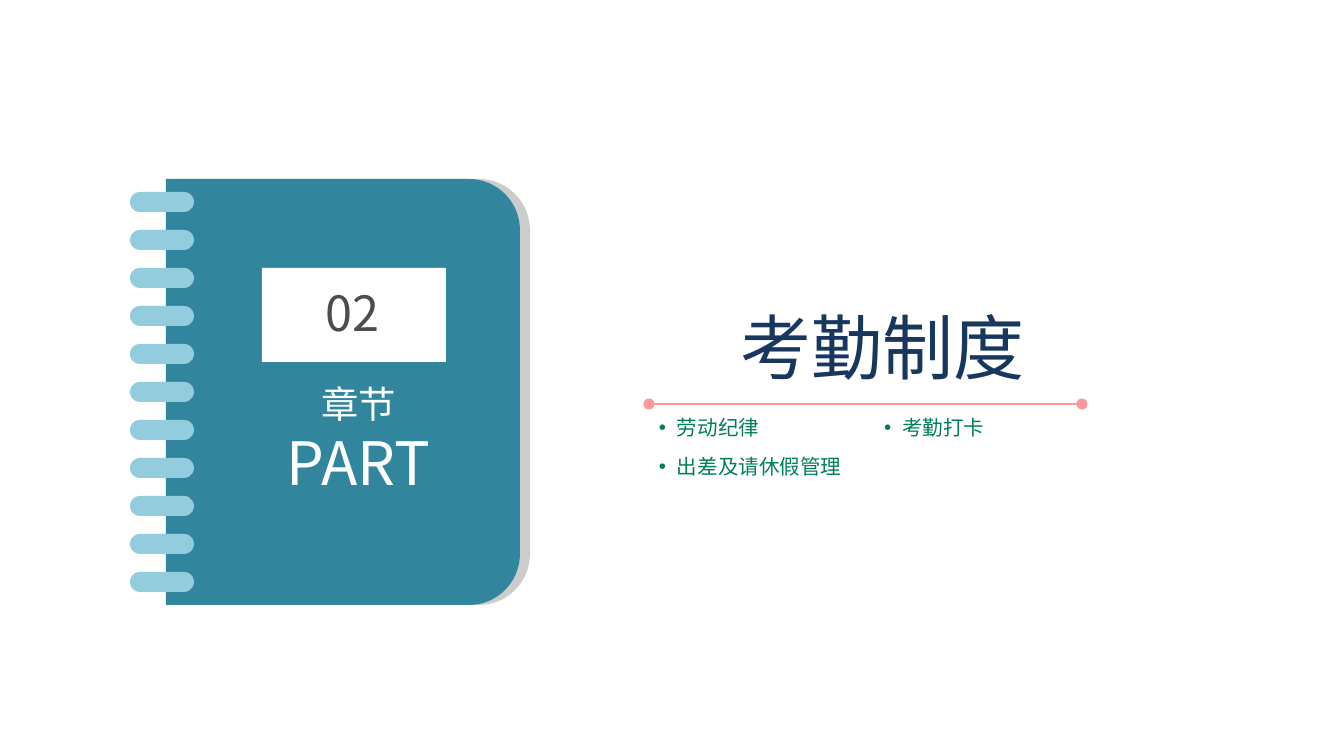
"""Build the chapter divider slide: a spiral notebook beside a title and its topics."""
import math
from dataclasses import dataclass

from lxml import etree
from pptx import Presentation
from pptx import util as u
from pptx.dml.color import RGBColor
from pptx.enum import shapes, text
from pptx.oxml import ns

PX = u.Inches(10) / 1344
CJK_FONT = "Noto Sans CJK SC"
COLORS = {
    "title": "17375E", "topic": "007E5D", "rule": "FF9999",
    "cover": "31859C", "back": "CCCCCC", "ring": "93CDDD",
    "white": "FFFFFF", "number": "4D4D4D",
}


@dataclass(frozen=True)
class Area:
    left: int
    top: int
    width: int
    height: int


@dataclass(frozen=True)
class Line:
    words: str
    size: int
    color: str
    font: str = CJK_FONT


@dataclass(frozen=True)
class TextBlock:
    area: Area
    lines: tuple[Line, ...]
    bullet: bool = False


COVERS = ((Area(176, 179, 354, 426), "back"), (Area(166, 179, 354, 426), "cover"))
CORNER = 51
LABEL = Area(262, 268, 184, 94)
FIRST_RING = Area(130, 192, 64, 20)
RING_COUNT, RING_STEP = 11, 38
TOPICS = (
    (Area(649, 413, 121, 35), "劳动纪律"),
    (Area(874, 413, 121, 35), "考勤打卡"),
    (Area(649, 452, 203, 35), "出差及请休假管理"),
)
TITLE = TextBlock(Area(649, 313, 468, 87), (Line("考勤制度", 38, "title", "Arial"),))
NOTEBOOK_TEXT = (
    TextBlock(Area(266, 290, 173, 59), (Line("02", 26, "number"),)),
    TextBlock(Area(276, 386, 165, 132),
              (Line("章节", 20, "white"), Line("PART", 32, "white"))),
)


def emu(px: float) -> int:
    """Turn px into EMU."""
    return round(px * PX)


def place(area: Area) -> tuple[int, ...]:
    """Give the area's left, top, width and height in EMU."""
    return tuple(emu(n) for n in (area.left, area.top, area.width, area.height))


def color(name: str) -> RGBColor:
    """Look up a named colour."""
    return RGBColor.from_string(COLORS[name])


def set_all(target, values: dict) -> None:
    """Set each named attribute on the target."""
    for name, value in values.items():
        setattr(target, name, value)


def paint(shape, name: str) -> None:
    """Fill a shape with a flat colour, without outline or shadow."""
    shape.shadow.inherit = False
    shape.fill.solid()
    shape.fill.fore_color.rgb = color(name)
    shape.line.fill.background()


def add_cover(parent, area: Area, name: str) -> None:
    """Draw a sheet whose two right corners are rounded."""
    right, bottom = area.left + area.width, area.top + area.height
    x = right - CORNER
    points = [
        (x + CORNER * math.cos(math.radians(angle)), y + CORNER * math.sin(math.radians(angle)))
        for y, start in ((area.top + CORNER, -90), (bottom - CORNER, 0))
        for angle in range(start, start + 91, 3)
    ]
    outline = parent.build_freeform(emu(area.left), emu(area.top))
    outline.add_line_segments(
        [(emu(px), emu(py)) for px, py in points] + [(emu(area.left), emu(bottom))])
    paint(outline.convert_to_shape(), name)


def add_block(parent, block: TextBlock) -> None:
    """Add a text box, bulleted if the block asks for it."""
    box = parent.add_textbox(*place(block.area))
    side, end = (emu(10), emu(5)) if block.bullet else (0, 0)
    set_all(box.text_frame, {
        "word_wrap": not block.bullet, "auto_size": text.MSO_AUTO_SIZE.SHAPE_TO_FIT_TEXT,
        "margin_left": side, "margin_right": side, "margin_top": end, "margin_bottom": end,
    })
    for index, line in enumerate(block.lines):
        para = box.text_frame.add_paragraph() if index else box.text_frame.paragraphs[0]
        set_all(para, {
            "alignment": text.PP_ALIGN.LEFT if block.bullet else text.PP_ALIGN.CENTER,
            "line_spacing": 0.9, "space_before": u.Pt(4 if index else 0),
        })
        if block.bullet:
            props = para._p.get_or_add_pPr()
            props.set("marL", str(emu(18)))
            props.set("indent", str(-emu(18)))
            etree.SubElement(props, ns.qn("a:buFont")).set("typeface", "Arial")
            etree.SubElement(props, ns.qn("a:buChar")).set("char", "•")
        span = para.add_run()
        span.text = line.words
        set_all(span.font, {"name": line.font, "size": u.Pt(line.size)})
        span.font.color.rgb = color(line.color)
        east_asian = etree.SubElement(span._r.get_or_add_rPr(), ns.qn("a:ea"))
        east_asian.set("typeface", CJK_FONT)


def add_rule(parent) -> None:
    """Draw the line under the title, with a dot at each end."""
    rule = parent.add_connector(
        shapes.MSO_CONNECTOR.STRAIGHT, emu(649), emu(404), emu(1082), emu(404))
    rule.line.width = u.Pt(1)
    rule.line.color.rgb = color("rule")
    for tag in ("a:headEnd", "a:tailEnd"):
        etree.SubElement(rule.line._get_or_add_ln(), ns.qn(tag)).set("type", "oval")
    etree.SubElement(rule._element.spPr, ns.qn("a:effectLst"))


def add_notebook(page) -> None:
    """Draw the notebook with its label, rings and wording as one group."""
    parts = page.shapes.add_group_shape().shapes
    for area, name in COVERS:
        add_cover(parts, area, name)
    paint(parts.add_shape(shapes.MSO_SHAPE.RECTANGLE, *place(LABEL)), "white")
    for index in range(RING_COUNT):
        area = Area(FIRST_RING.left, FIRST_RING.top + index * RING_STEP,
                    FIRST_RING.width, FIRST_RING.height)
        ring = parts.add_shape(shapes.MSO_SHAPE.ROUNDED_RECTANGLE, *place(area))
        ring.adjustments[0] = 0.5
        paint(ring, "ring")
    for block in NOTEBOOK_TEXT:
        add_block(parts, block)


def main() -> None:
    """Build and save the deck."""
    deck = Presentation()
    set_all(deck, {"slide_width": emu(1344), "slide_height": emu(756)})
    page = deck.slides.add_slide(deck.slide_layouts[6])
    add_rule(page.shapes)
    add_block(page.shapes, TITLE)
    for area, words in TOPICS:
        add_block(page.shapes, TextBlock(area, (Line(words, 11, "topic", "Arial"),), True))
    add_notebook(page)
    deck.save("out.pptx")


if __name__ == "__main__":
    main()
